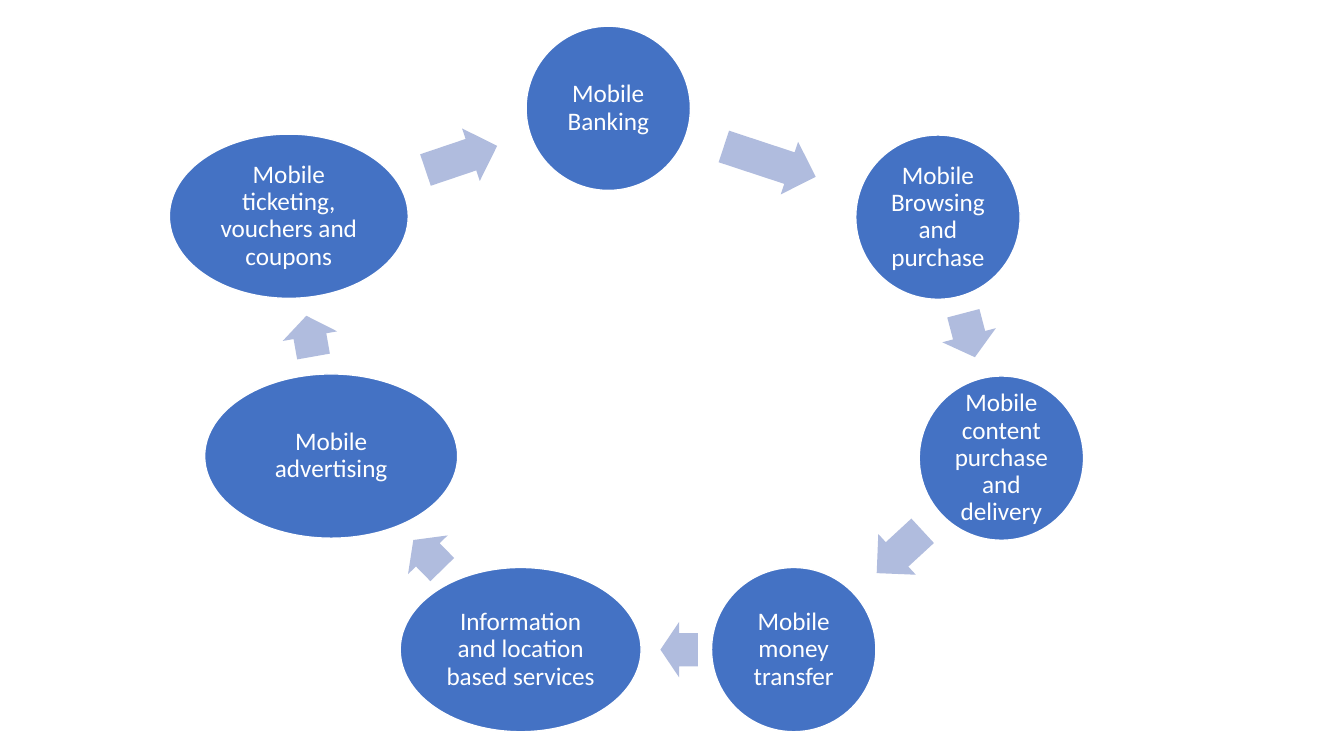
"""Build a slide with a ring of seven mobile commerce services."""
from math import atan2, degrees

from lxml import etree
from pptx import Presentation
from pptx import util as u
from pptx.dml.color import RGBColor
from pptx.enum import shapes, text
from pptx.oxml.ns import qn

BLUE = RGBColor(0x44, 0x72, 0xC4)
PALE = RGBColor(0xB0, 0xBC, 0xDE)
WHITE = RGBColor(0xFF, 0xFF, 0xFF)
FONT = "Calibri"
WIDE, HIGH = u.Inches(13.333), u.Inches(7.5)

# Percent of slide: label, centre x, centre y, width, next arrow length,
# and the arrow's place along the way to the next node.
NODES = [
    ("Mobile Banking", 45.26, 14.33, 12.23, 7.2, 0.49),
    ("Mobile Browsing and purchase", 69.79, 28.73, 12.23, 3.38, 0.49),
    ("Mobile content purchase and delivery", 74.51, 60.6, 12.23, 4.65, 0.49),
    ("Mobile money transfer", 59.06, 85.93, 12.23, 2.78, 0.42),
    ("Information and location based services", 38.74, 85.93, 17.93, 3.08, 0.49),
    ("Mobile advertising", 24.64, 60.33, 18.83, 3.08, 0.5),
    ("Mobile ticketing, vouchers and coupons", 21.49, 28.6, 17.78, 5.63, 0.54),
]
TALL, THICK = 21.73, 7.33


def put(slide, kind, x, y, w, h, fill):
    left, top = (x - w / 2) * WIDE / 100, (y - h / 2) * HIGH / 100
    shape = slide.shapes.add_shape(
        kind, int(left), int(top), int(w * WIDE / 100), int(h * HIGH / 100))
    shape.shadow.inherit = False
    shape.fill.solid()
    shape.fill.fore_color.rgb = fill
    shape.line.fill.background()
    return shape


def label(shape, words):
    shape.line.color.rgb = WHITE
    shape.line.width = u.Pt(1)
    frame = shape.text_frame
    frame.text = words
    frame.word_wrap = True
    frame.vertical_anchor = text.MSO_ANCHOR.MIDDLE
    frame.margin_left = frame.margin_right = u.Inches(0.03)
    frame.margin_top = frame.margin_bottom = u.Inches(0.03)
    para = frame.paragraphs[0]
    para.alignment = text.PP_ALIGN.CENTER
    para.line_spacing = 0.9
    font = para.runs[0].font
    font.name, font.size, font.color.rgb = FONT, u.Pt(18), WHITE


def main():
    deck = Presentation()
    deck.slide_width, deck.slide_height = WIDE, HIGH
    slide = deck.slides.add_slide(deck.slide_layouts[6])
    for node, after in zip(NODES, NODES[1:] + NODES[:1]):
        words, x, y, wide, size, share = node
        oval = put(slide, shapes.MSO_SHAPE.OVAL, x, y, wide, TALL, BLUE)
        label(oval, words)
        dx, dy = after[1] - x, after[2] - y
        arrow = put(slide, shapes.MSO_SHAPE.RIGHT_ARROW,
                    x + dx * share, y + dy * share, size, THICK, PALE)
        arrow.adjustments[0], arrow.adjustments[1] = 0.6, 0.5
        arrow.rotation = degrees(atan2(dy * HIGH, dx * WIDE)) % 360
    deck.save("out.pptx")


if __name__ == "__main__":
    main()
